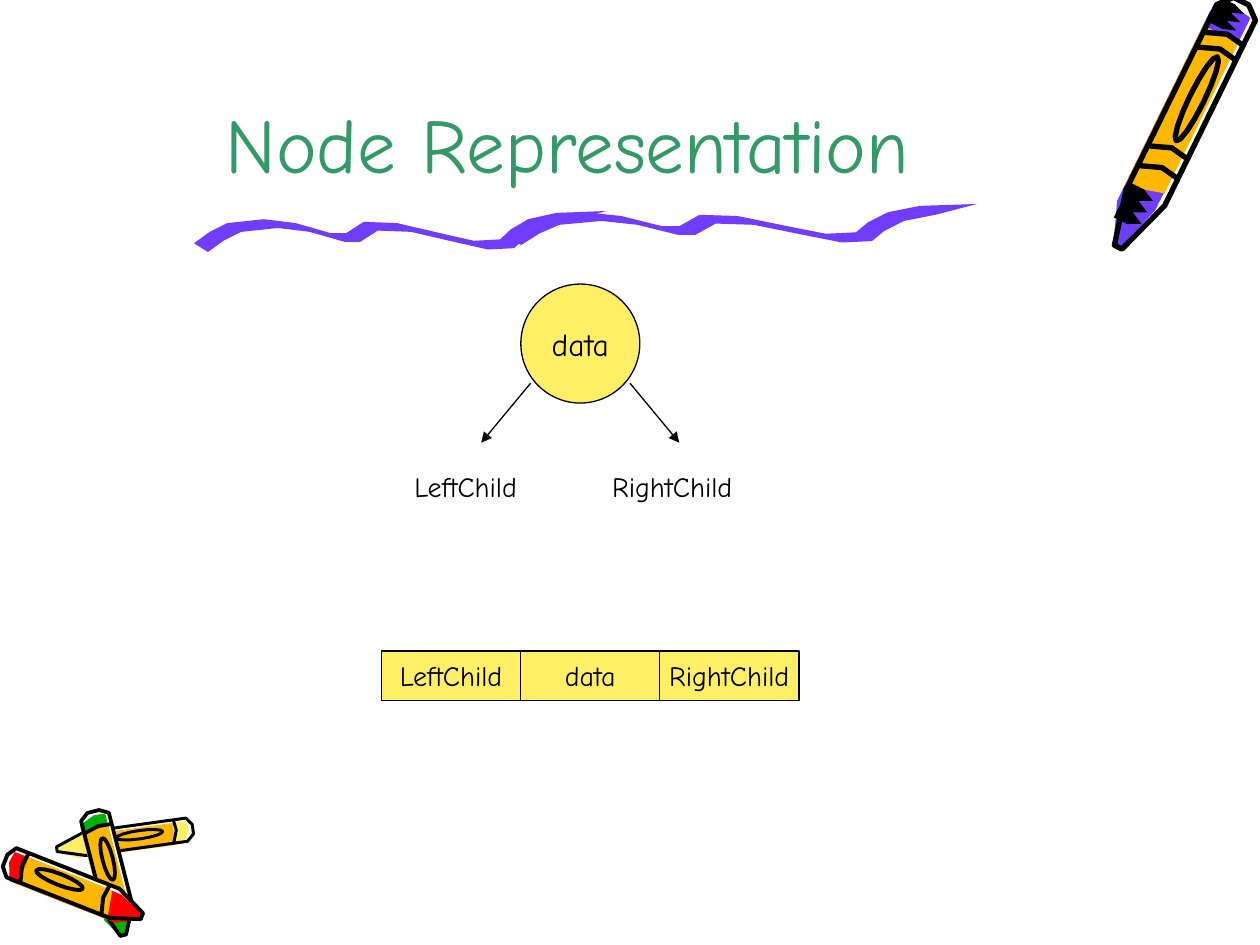
from dataclasses import dataclass
from math import cos, dist, pi, sin

from lxml import etree
from pptx import Presentation
from pptx import util as u
from pptx.dml.color import RGBColor
from pptx.enum import shapes, text
from pptx.oxml.ns import qn

Point = tuple[float, float]


@dataclass(frozen=True)
class Theme:
    font: str = "Comic Neue"
    title: str = "339966"
    ink: str = "000000"
    node: str = "FFEF66"
    purple: str = "703DFF"
    orange: str = "FFB800"
    red: str = "FF0000"
    green: str = "00B200"
    white: str = "FFFFFF"
    title_size: float = 44
    node_size: float = 18
    label_size: float = 16
    outline: float = 0.75


@dataclass(frozen=True)
class Box:
    left: float
    top: float
    width: float
    height: float

    def emu(self) -> list[u.Length]:
        return [u.Pt(v) for v in (self.left, self.top, self.width, self.height)]


@dataclass(frozen=True)
class Crayon:
    tip: Point
    butt: Point
    half_width: float
    accent: str
    lit_side: int = 1
    bands: tuple[float, ...] = (0.26, 0.85)
    shaded: bool = False

    def place(self, along: float, across: float) -> Point:
        dx, dy = self.butt[0] - self.tip[0], self.butt[1] - self.tip[1]
        reach = across * self.lit_side * self.half_width / dist(self.tip, self.butt)
        return (self.tip[0] + along * dx - reach * dy,
                self.tip[1] + along * dy + reach * dx)


@dataclass(frozen=True)
class Wave:
    start: Point
    stretch: float


@dataclass(frozen=True)
class Node:
    kind: shapes.MSO_SHAPE
    box: Box
    caption: str
    size: float


THEME = Theme()

CRAYONS = [
    Crayon((32.4, 484.6), (110.2, 473.8), 6.8, THEME.node, lit_side=-1),
    Crayon((71.3, 534.2), (53.3, 463.7), 8.5, THEME.green),
    Crayon((81.4, 522.7), (2.9, 491.8), 9, THEME.red),
    Crayon((640.1, 141.8), (709.2, 0.7), 12.2, THEME.purple,
           bands=(0.3, 0.38, 0.78, 0.84), shaded=True),
]
CONTOUR = [(0, -0.3), (0.2, -0.95), (0.95, -0.95), (1, -0.4),
           (1, 0.4), (0.96, 1), (0.21, 1), (0, 0.1)]
COLOUR_FACE = [(0, -0.35), (0.15, -1.1), (0.92, -1.1), (0.97, 0),
               (0.96, 0.74), (0.18, 0.7), (0, 0)]
WAX_FACE = [(0.21, -1.1), (0.25, 0.74), (0.86, 0.74), (0.86, -1.1)]
SHADES = ((0.09, 0.23), (0.88, 0.98))
OVAL_POINTS = 16
OVAL = [(0.61 + 0.17 * cos(2 * pi * i / OVAL_POINTS), 0.15 + 0.35 * sin(2 * pi * i / OVAL_POINTS))
        for i in range(OVAL_POINTS)]

NIB = (8, 5)
WAVE_SPINE = [(0, 0), (9, -6.5), (19, -11.5), (40, -13.7), (58, -11.5), (78, -5.8),
              (87, -5.8), (97, -12.2), (116, -11.5), (144, -5), (160, -1.4), (175, -2.2),
              (181, -7.9), (191, -13.7), (207, -17.3)]
WAVE_END = (235.4, -18.4)
WAVES = [Wave((110.9, 139), 1), Wave((288.7, 135), 1.145)]

FIELD_LEFT, FIELD_PITCH = 218, 79.5
FIELDS = [
    Node(shapes.MSO_SHAPE.RECTANGLE, Box(FIELD_LEFT + i * FIELD_PITCH, 372, FIELD_PITCH, 28.2),
         caption, THEME.label_size)
    for i, caption in enumerate(("LeftChild", "data", "RightChild"))
]
ROOT = Node(shapes.MSO_SHAPE.OVAL, Box(297.6, 162.3, 68, 68), "data", THEME.node_size)
ROOT_CENTRE = ROOT.box.left + ROOT.box.width / 2
LINK_TOP, LINK_BOTTOM = 219, 253
LINK_NEAR, LINK_FAR = 28.4, 56.6
CHILD_LEFT, CHILD_PITCH = 229.7, 113.1


def rgb(color: str) -> RGBColor:
    return RGBColor.from_string(color)


def write(frame, caption: str, size: float, color: str, align: text.PP_ALIGN):
    frame.text = caption
    paragraph = frame.paragraphs[0]
    paragraph.alignment = align
    paragraph.font.name = THEME.font
    paragraph.font.size = u.Pt(size)
    paragraph.font.color.rgb = rgb(color)
    return paragraph


def trace(slide, points: list[Point], closed: bool = True):
    first, *rest = [(u.Pt(x), u.Pt(y)) for x, y in points]
    builder = slide.shapes.build_freeform(*first)
    builder.add_line_segments(rest, close=closed)
    figure = builder.convert_to_shape()
    figure.shadow.inherit = False
    return figure


def fill_area(slide, points: list[Point], color: str) -> None:
    area = trace(slide, points)
    area.fill.solid()
    area.fill.fore_color.rgb = rgb(color)
    area.line.fill.background()


def ink_stroke(slide, points: list[Point], width: float, closed: bool) -> None:
    stroke = trace(slide, points, closed)
    stroke.fill.background()
    stroke.line.color.rgb = rgb(THEME.ink)
    stroke.line.width = u.Pt(width)


def teeth(low: float, high: float, count: int = 6) -> list[Point]:
    step = (high - low) / count
    edge = [(low + i * step, 0.4 if i % 2 else -0.2) for i in range(count + 1)]
    return [(low, -0.9), *edge, (high, -0.9)]


def draw_crayon(slide, crayon: Crayon) -> None:
    def placed(points: list[Point]) -> list[Point]:
        return [crayon.place(*point) for point in points]

    pen = crayon.half_width / 4
    for face, color in ((CONTOUR, THEME.white), (COLOUR_FACE, crayon.accent),
                        (WAX_FACE, THEME.orange)):
        fill_area(slide, placed(face), color)
    if crayon.shaded:
        for low, high in SHADES:
            fill_area(slide, placed(teeth(low, high)), THEME.ink)
    for band in crayon.bands:
        arc = [(band, -0.9), (band + 0.03, 0.1), (band + 0.02, 0.9)]
        ink_stroke(slide, placed(arc), pen, closed=False)
    ink_stroke(slide, placed(OVAL), pen, closed=True)
    ink_stroke(slide, placed(CONTOUR), pen, closed=True)


def draw_wave(slide, wave: Wave) -> None:
    lower = [(x + NIB[0], y + NIB[1]) for x, y in reversed(WAVE_SPINE)]
    ribbon = [*WAVE_SPINE, WAVE_END, *lower]
    left, top = wave.start
    fill_area(slide, [(left + x * wave.stretch, top + y) for x, y in ribbon], THEME.purple)


def draw_node(slide, node: Node) -> None:
    cell = slide.shapes.add_shape(node.kind, *node.box.emu())
    cell.shadow.inherit = False
    cell.fill.solid()
    cell.fill.fore_color.rgb = rgb(THEME.node)
    cell.line.color.rgb = rgb(THEME.ink)
    cell.line.width = u.Pt(THEME.outline)
    cell.text_frame.word_wrap = False
    cell.text_frame.vertical_anchor = text.MSO_ANCHOR.MIDDLE
    write(cell.text_frame, node.caption, node.size, THEME.ink, text.PP_ALIGN.CENTER)


def draw_child(slide, index: int, caption: str, side: int) -> None:
    ends = (ROOT_CENTRE + side * LINK_NEAR, LINK_TOP, ROOT_CENTRE + side * LINK_FAR, LINK_BOTTOM)
    link = slide.shapes.add_connector(shapes.MSO_CONNECTOR.STRAIGHT, *map(u.Pt, ends))
    link.line.color.rgb = rgb(THEME.ink)
    link.line.width = u.Pt(THEME.outline)
    etree.SubElement(link.line._get_or_add_ln(), qn("a:tailEnd"), type="triangle")
    etree.SubElement(link._element.spPr, qn("a:effectLst"))

    box = Box(CHILD_LEFT + index * CHILD_PITCH, 264.5, 93.6, 26.6)
    frame = slide.shapes.add_textbox(*box.emu()).text_frame
    frame.word_wrap = True
    frame.auto_size = text.MSO_AUTO_SIZE.SHAPE_TO_FIT_TEXT
    label = write(frame, caption, THEME.label_size, THEME.ink, text.PP_ALIGN.LEFT)
    label.space_before = u.Pt(10)


def draw_title(slide, caption: str, box: Box) -> None:
    title = slide.shapes.title
    title.left, title.top, title.width, title.height = box.emu()
    title.text_frame.auto_size = text.MSO_AUTO_SIZE.NONE
    title.text_frame.vertical_anchor = text.MSO_ANCHOR.BOTTOM
    write(title.text_frame, caption, THEME.title_size, THEME.title, text.PP_ALIGN.CENTER)


def main() -> None:
    deck = Presentation()
    deck.slide_width, deck.slide_height = u.Pt(720), u.Pt(540)
    slide = deck.slides.add_slide(deck.slide_layouts[5])
    for crayon in CRAYONS:
        draw_crayon(slide, crayon)
    for wave in WAVES:
        draw_wave(slide, wave)
    draw_title(slide, "Node Representation", Box(54, 0, 540.7, 111.3))
    for node in [*FIELDS, ROOT]:
        draw_node(slide, node)
    for index, (caption, side) in enumerate((("LeftChild", -1), ("RightChild", 1))):
        draw_child(slide, index, caption, side)
    deck.save("out.pptx")


if __name__ == "__main__":
    main()
